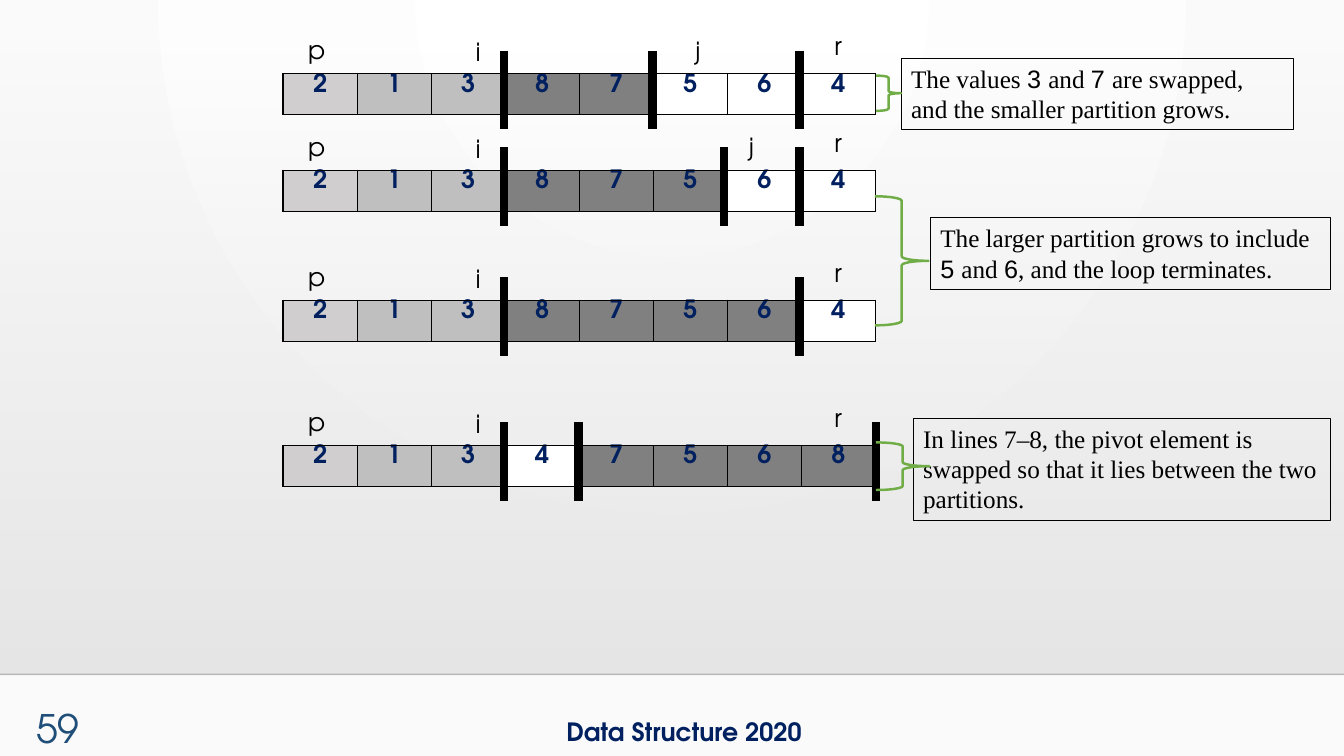
from lxml.etree import SubElement
from pptx import Presentation
from pptx.dml.color import RGBColor
from pptx.enum.shapes import MSO_CONNECTOR, MSO_SHAPE
from pptx.enum.text import MSO_ANCHOR, MSO_AUTO_SIZE, PP_ALIGN
from pptx.oxml.ns import qn
from pptx.util import Pt

BLACK = RGBColor(0x00, 0x00, 0x00)
WHITE = RGBColor(0xFF, 0xFF, 0xFF)
OFF_WHITE = RGBColor(0xFA, 0xFA, 0xFA)
PANEL_TOP = RGBColor(0xE7, 0xE6, 0xE6)
PANEL_BOTTOM = RGBColor(0xE8, 0xE7, 0xE7)
NAVY = RGBColor(0x00, 0x20, 0x60)
BLUE = RGBColor(0x1F, 0x4E, 0x79)
GREEN = RGBColor(0x70, 0xAD, 0x47)
FIRST_GRAY = RGBColor(0xD0, 0xCE, 0xCE)
LIGHT_GRAY = RGBColor(0xBF, 0xBF, 0xBF)
DARK_GRAY = RGBColor(0x80, 0x80, 0x80)

HEADING_FONT = "TeX Gyre Adventor"
NOTE_FONT = "Times New Roman"
VALUE_FONT = "Arial"

SLIDE_WIDTH, SLIDE_HEIGHT = 960, 540
PANEL_TOP_EDGE, PANEL_HEIGHT = 36.7, 445
ARRAY_LEFT, CELL_WIDTH, CELL_HEIGHT = 202.2, 52.9, 29.3
BAR_RISE, BAR_LENGTH = 16.4, 56.2
LABEL_HEIGHT = 29

CELL_FILLS = {"f": FIRST_GRAY, "s": LIGHT_GRAY, "l": DARK_GRAY, "w": WHITE}

# Label: left, width, rise above the array
LABELS = {"r": (589, 17.3, 34.4), "p": (213.1, 38.2, 31.5), "i": (332.6, 38.2, 30)}

# Array top, values, cell fills, bar positions, left and width of the j label
STEPS = [
    (52.5, "21387564", "fssllwww", (571, 360, 466), (489.6, 27.4)),
    (121.6, "21387564", "fsslllww", (571, 360, 517), (527.8, 17.3)),
    (214.5, "21387564", "fssllllw", (571, 360), None),
    (318.1, "21347568", "fsswllll", (413.3, 360, 625.7), None),
]

NOTES = [
    ((643.7, 41.8, 280.1, 51), [
        ("The values ", NOTE_FONT), ("3 ", VALUE_FONT), ("and ", NOTE_FONT), ("7 ", VALUE_FONT),
        ("are swapped, and the smaller partition grows.", NOTE_FONT)]),
    ((664.6, 155.5, 285.8, 51), [
        ("The larger partition grows to include ", NOTE_FONT), ("5 ", VALUE_FONT),
        ("and ", NOTE_FONT), ("6", VALUE_FONT), (", and the loop terminates.", NOTE_FONT)]),
    ((652.3, 298.8, 298.1, 72.7), [
        ("In lines 7–8, the pivot element is swapped so that it lies between the two partitions.",
         NOTE_FONT)]),
]

BRACES = [(625.7, 54, 18, 25.2), (625, 140.2, 38.2, 92.2), (625.7, 316, 38.2, 34)]


class SlideBuilder:
    def __init__(self, slide):
        self.slide = slide

    def gradient(self, fill, colors):
        fill.gradient()
        for stop, color in zip(fill.gradient_stops, colors):
            stop.color.rgb = color

    def background(self):
        self.gradient(self.slide.background.fill, (WHITE, OFF_WHITE))
        gradient = self.slide.element.find(".//" + qn("a:gradFill"))
        gradient.remove(gradient.find(qn("a:lin")))
        circle = SubElement(gradient, qn("a:path"), {"path": "circle"})
        SubElement(circle, qn("a:fillToRect"), {"l": "43000", "r": "43000", "b": "100000"})

    def panel(self, left, top, width, height):
        shape = self.shape(MSO_SHAPE.RECTANGLE, left, top, width, height)
        self.gradient(shape.fill, (PANEL_TOP, PANEL_BOTTOM))
        shape.fill.gradient_angle = 270
        first_color = shape.element.find(".//" + qn("a:srgbClr"))
        SubElement(first_color, qn("a:alpha"), {"val": "0"})

    def shape(self, kind, left, top, width, height, line_color=None, line_width=1):
        shape = self.slide.shapes.add_shape(kind, Pt(left), Pt(top), Pt(width), Pt(height))
        shape.shadow.inherit = False
        shape.fill.background()
        if line_color is None:
            shape.line.fill.background()
        else:
            shape.line.color.rgb = line_color
            shape.line.width = Pt(line_width)
        return shape

    def line(self, start_x, start_y, end_x, end_y, width, opacity=100):
        connector = self.slide.shapes.add_connector(
            MSO_CONNECTOR.STRAIGHT, Pt(start_x), Pt(start_y), Pt(end_x), Pt(end_y))
        connector.line.color.rgb = BLACK
        connector.line.width = Pt(width)
        if opacity < 100:
            color = connector.element.find(".//" + qn("a:srgbClr"))
            SubElement(color, qn("a:alpha"), {"val": str(opacity * 1000)})
        SubElement(connector.element.spPr, qn("a:effectLst"))

    def run(self, paragraph, text, font_name=HEADING_FONT, size=18, color=BLACK, bold=False):
        run = paragraph.add_run()
        run.text = text
        run.font.name = font_name
        run.font.size = Pt(size)
        run.font.color.rgb = color
        run.font.bold = bold

    def text(self, left, top, width, height, text, wrap=True, anchor=MSO_ANCHOR.TOP,
             align=PP_ALIGN.LEFT, **font):
        box = self.slide.shapes.add_textbox(Pt(left), Pt(top), Pt(width), Pt(height))
        frame = box.text_frame
        frame.word_wrap = wrap
        frame.vertical_anchor = anchor
        frame.paragraphs[0].alignment = align
        self.run(frame.paragraphs[0], text, **font)

    def note(self, bounds, runs):
        frame = self.shape(MSO_SHAPE.RECTANGLE, *bounds, BLACK, 0.75).text_frame
        frame.word_wrap = True
        frame.auto_size = MSO_AUTO_SIZE.SHAPE_TO_FIT_TEXT
        frame.vertical_anchor = MSO_ANCHOR.TOP
        paragraph = frame.paragraphs[0]
        paragraph.alignment = PP_ALIGN.LEFT
        for text, font_name in runs:
            self.run(paragraph, text, font_name)

    def cell(self, cell, value, fill):
        properties = cell._tc.get_or_add_tcPr()
        for side in ("lnL", "lnR", "lnT", "lnB"):
            border = SubElement(properties, qn("a:" + side), {"w": str(Pt(1))})
            solid = SubElement(border, qn("a:solidFill"))
            SubElement(solid, qn("a:srgbClr"), {"val": str(BLACK)})
        cell.fill.solid()
        cell.fill.fore_color.rgb = fill
        cell.margin_top = cell.margin_bottom = Pt(0)
        paragraph = cell.text_frame.paragraphs[0]
        paragraph.alignment = PP_ALIGN.CENTER
        self.run(paragraph, value, color=NAVY, bold=True)

    def array(self, top, values, fills):
        table = self.slide.shapes.add_table(
            1, len(values), Pt(ARRAY_LEFT), Pt(top),
            Pt(CELL_WIDTH * len(values)), Pt(CELL_HEIGHT)).table
        table.first_row = table.horz_banding = False
        for column, (value, fill) in enumerate(zip(values, fills)):
            table.columns[column].width = Pt(CELL_WIDTH)
            self.cell(table.cell(0, column), value, CELL_FILLS[fill])

    def step(self, top, values, fills, bars, j_label):
        """Draw one state of the partition: array, index labels and partition bars."""
        self.array(top, values, fills)
        labels = dict(LABELS)
        if j_label:
            labels["j"] = (*j_label, 31)
        for name, (left, width, rise) in labels.items():
            self.text(left, top - rise, width, LABEL_HEIGHT, name)
        for x in bars:
            self.line(x, top - BAR_RISE, x, top - BAR_RISE + BAR_LENGTH, 6)


def main():
    presentation = Presentation()
    presentation.slide_width, presentation.slide_height = Pt(SLIDE_WIDTH), Pt(SLIDE_HEIGHT)
    builder = SlideBuilder(presentation.slides.add_slide(presentation.slide_layouts[6]))

    builder.background()
    builder.panel(0, PANEL_TOP_EDGE, SLIDE_WIDTH, PANEL_HEIGHT)
    panel_bottom = PANEL_TOP_EDGE + PANEL_HEIGHT
    builder.line(0, panel_bottom, SLIDE_WIDTH, panel_bottom, 1, opacity=20)
    builder.text(397.5, 508.3, 188, 29, "Data Structure 2020", wrap=False, color=NAVY, bold=True)
    for step in STEPS:
        builder.step(*step)
    for bounds, runs in NOTES:
        builder.note(bounds, runs)
    for bounds in BRACES:
        builder.shape(MSO_SHAPE.RIGHT_BRACE, *bounds, GREEN, 1.75)
    builder.text(0, 500.4, 64, 39.6, "59", anchor=MSO_ANCHOR.MIDDLE, align=PP_ALIGN.RIGHT,
                 size=28, color=BLUE)
    presentation.save("out.pptx")


if __name__ == "__main__":
    main()
